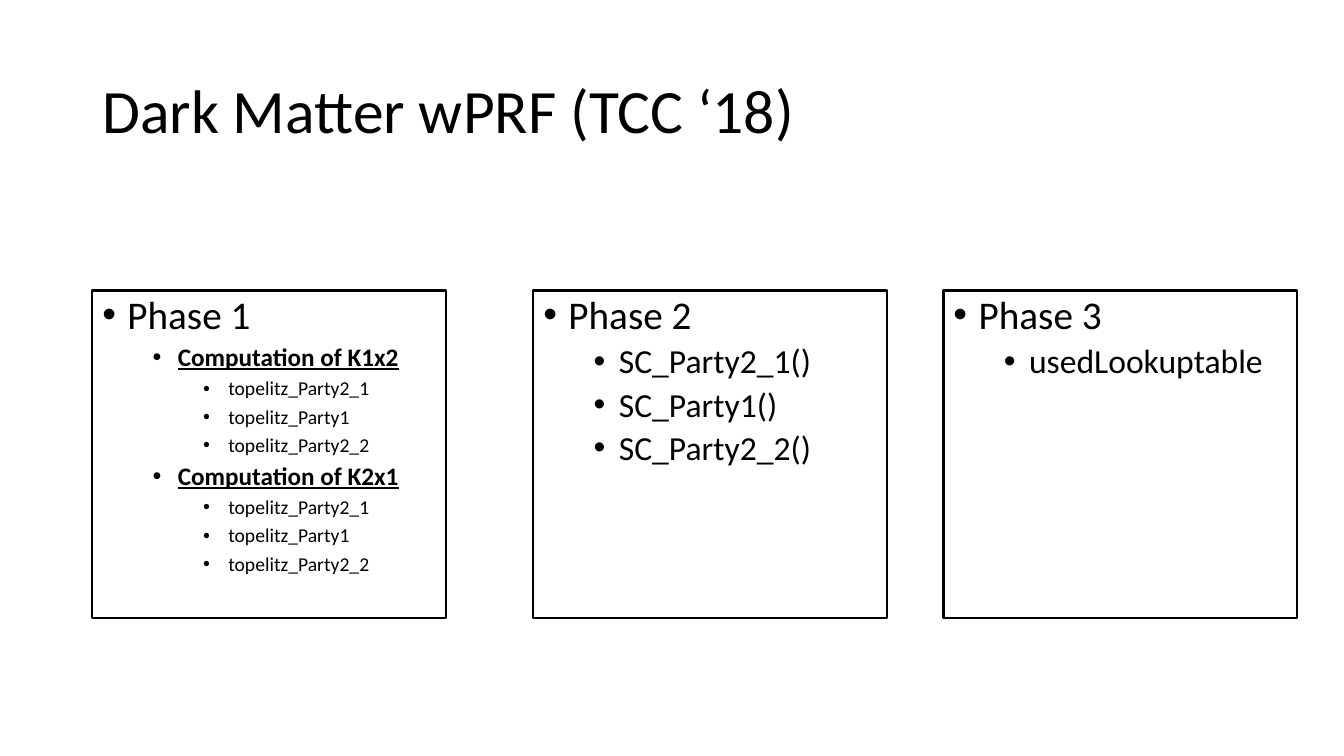
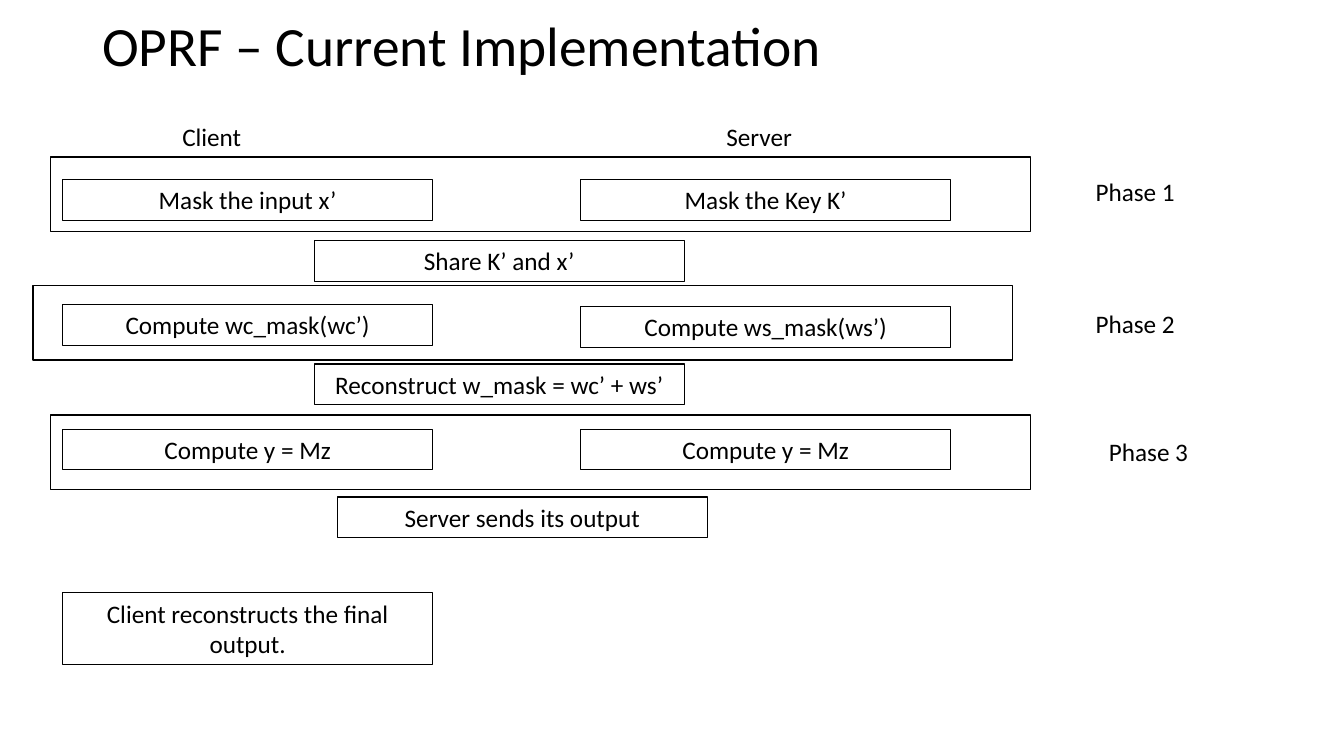
from dataclasses import dataclass

from lxml import etree
from pptx import Presentation
from pptx.dml.color import RGBColor
from pptx.enum.shapes import MSO_SHAPE
from pptx.enum.text import MSO_ANCHOR, MSO_AUTO_SIZE, PP_ALIGN
from pptx.oxml.ns import qn
from pptx.util import Pt

RECTANGLE = MSO_SHAPE.RECTANGLE
TOP, MIDDLE = MSO_ANCHOR.TOP, MSO_ANCHOR.MIDDLE
LEFT, CENTER = PP_ALIGN.LEFT, PP_ALIGN.CENTER
GROW = MSO_AUTO_SIZE.SHAPE_TO_FIT_TEXT
BLANK = 6


@dataclass(frozen=True)
class Theme:
    font: str = "Calibri"
    ink: RGBColor = RGBColor(0, 0, 0)
    paper: RGBColor = RGBColor(255, 255, 255)
    title: float = 44
    compact_title: float = 39.6
    phase: float = 28
    step: float = 24
    label: float = 18
    detail: float = 14
    line_spacing: float = 0.9
    card_line: float = 1.5
    band_line: float = 1
    step_line: float = 0.75


class Deck:
    """Draws the elements of the talk in one theme on the current slide."""

    def __init__(self, theme):
        self.theme = theme
        self.presentation = Presentation()
        self.presentation.slide_width = Pt(960)
        self.presentation.slide_height = Pt(540)
        self.slide = None

    def new_slide(self):
        layout = self.presentation.slide_layouts[BLANK]
        self.slide = self.presentation.slides.add_slide(layout)

    def add_text(self, paragraph, text, size, strong=False):
        run = paragraph.add_run()
        run.text = text
        run.font.name = self.theme.font
        run.font.size = Pt(size)
        run.font.color.rgb = self.theme.ink
        run.font.bold = run.font.underline = strong

    def frame(self, left, top, width, height, line, filled=False):
        outline = self.slide.shapes.add_shape(
            RECTANGLE, Pt(left), Pt(top), Pt(width), Pt(height))
        outline.shadow.inherit = False
        if filled:
            outline.fill.solid()
            outline.fill.fore_color.rgb = self.theme.paper
        else:
            outline.fill.background()
        outline.line.color.rgb = self.theme.ink
        outline.line.width = Pt(line)
        outline.text_frame.word_wrap = True
        return outline

    def band(self, left, top):
        self.frame(left, top, 700, 53.3, self.theme.band_line, filled=True)

    def title(self, text, top, height, size):
        heading = self.slide.shapes.add_textbox(Pt(66), Pt(top), Pt(828), Pt(height))
        heading.text_frame.word_wrap = True
        heading.text_frame.vertical_anchor = MIDDLE
        paragraph = heading.text_frame.paragraphs[0]
        paragraph.line_spacing = self.theme.line_spacing
        self.add_text(paragraph, text, size)

    def label(self, text, left, top, width, align=LEFT):
        caption = self.slide.shapes.add_textbox(Pt(left), Pt(top), Pt(width), Pt(29))
        self.fit_text(caption.text_frame, text, align)

    def step(self, text, left, top, height=29):
        box = self.frame(left, top, 264.3, height, self.theme.step_line)
        self.fit_text(box.text_frame, text, CENTER)

    def fit_text(self, body, text, align):
        body.word_wrap = True
        body.auto_size = GROW
        body.vertical_anchor = TOP
        paragraph = body.paragraphs[0]
        paragraph.alignment = align
        self.add_text(paragraph, text, self.theme.label)

    def card(self, left, entries):
        body = self.frame(left, 207.5, 252.8, 234, self.theme.card_line).text_frame
        body.vertical_anchor = TOP
        for index, (level, text, size, strong) in enumerate(entries):
            paragraph = body.add_paragraph() if index else body.paragraphs[0]
            self.bullet(paragraph, level)
            self.add_text(paragraph, text, size, strong)

    def bullet(self, paragraph, level):
        paragraph.level = level
        paragraph.alignment = LEFT
        paragraph.line_spacing = self.theme.line_spacing
        paragraph.space_before = Pt(5 if level else 10)
        properties = paragraph._p.get_or_add_pPr()
        properties.set("marL", str(Pt(18 + 36 * level)))
        properties.set("indent", str(Pt(-18)))
        etree.SubElement(properties, qn("a:buFont")).set("typeface", "Arial")
        etree.SubElement(properties, qn("a:buChar")).set("char", "•")


def phase_overview(deck):
    theme = deck.theme
    computations = []
    for key in ("K1x2", "K2x1"):
        computations.append((1, f"Computation of {key}", theme.label, True))
        computations += [(2, f"topelitz_{party}", theme.detail, False)
                         for party in ("Party2_1", "Party1", "Party2_2")]
    calls = [(1, f"SC_{party}()", theme.step, False)
             for party in ("Party2_1", "Party1", "Party2_2")]
    lookup = [(1, "usedLookuptable", theme.step, False)]

    deck.new_slide()
    deck.title("Dark Matter wPRF (TCC ‘18)", 28.8, 104.4, theme.title)
    cards = ((66, computations), (381, calls), (674, lookup))
    for number, (left, entries) in enumerate(cards, 1):
        deck.card(left, [(0, f"Phase {number}", theme.phase, False), *entries])


def protocol(deck):
    client_left, server_left = 44.8, 414.8
    phases = (
        (36, 112.2, 775.5, 122.5,
         ("Mask the input x’", 128.2), ("Mask the Key K’", 128.2),
         ("Share K’ and x’", 224.5, 172)),
        (23.5, 204, 775.5, 217,
         ("Compute wc_mask(wc’)", 217.5), ("Compute ws_mask(ws’)", 219),
         ("Reconstruct w_mask = wc’ + ws’", 224.5, 260)),
        (36, 296.6, 785, 308.2,
         ("Compute y = Mz", 306.7), ("Compute y = Mz", 306.7),
         ("Server sends its output", 241, 355)),
    )

    deck.new_slide()
    deck.title("OPRF – Current Implementation", 15, 39, deck.theme.compact_title)
    deck.label("Client", 98, 83, 106.5, CENTER)
    deck.label("Server", 489, 83, 106.5, CENTER)
    for number, phase in enumerate(phases, 1):
        band_left, band_top, name_left, name_top, client, server, exchange = phase
        deck.band(band_left, band_top)
        deck.step(client[0], client_left, client[1])
        deck.step(server[0], server_left, server[1])
        deck.step(*exchange)
        deck.label(f"Phase {number}", name_left, name_top, 91.5)
    deck.step("Client reconstructs the final output.", client_left, 423.5, 51)


deck = Deck(Theme())
phase_overview(deck)
protocol(deck)
deck.presentation.save("out.pptx")
